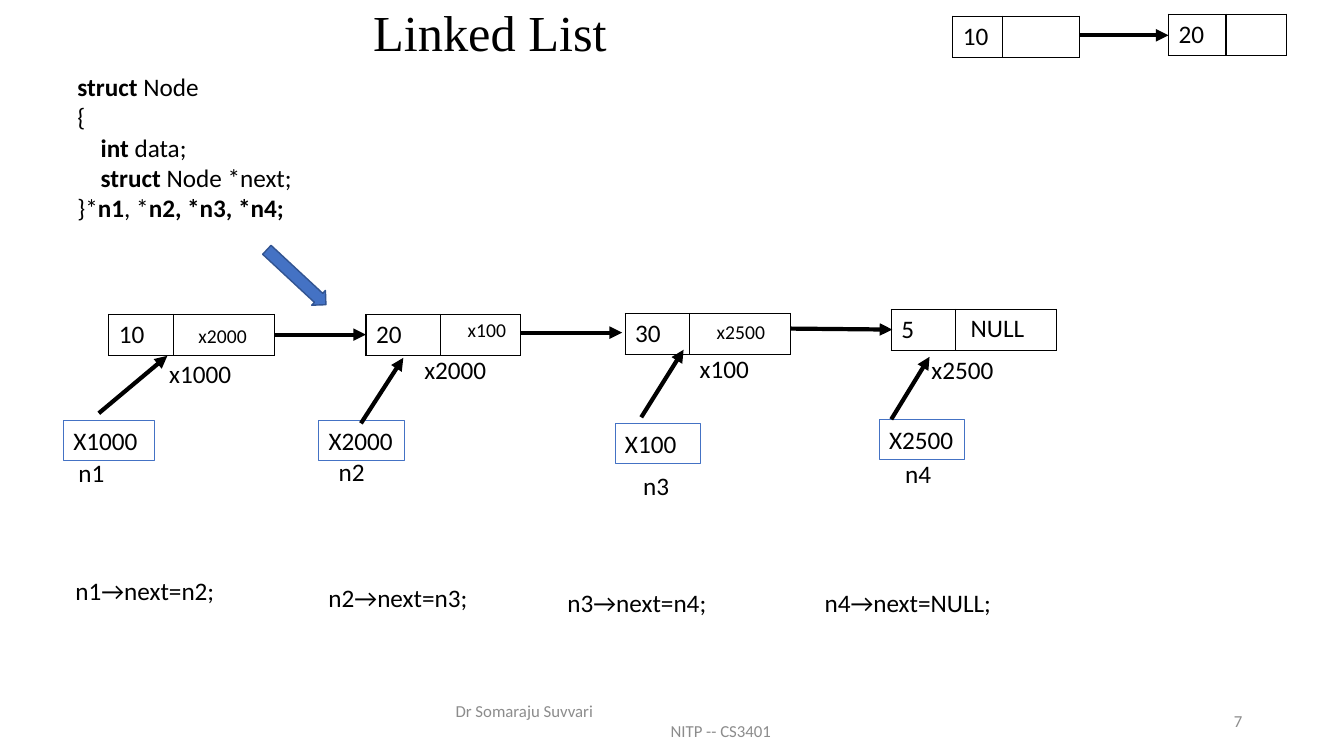
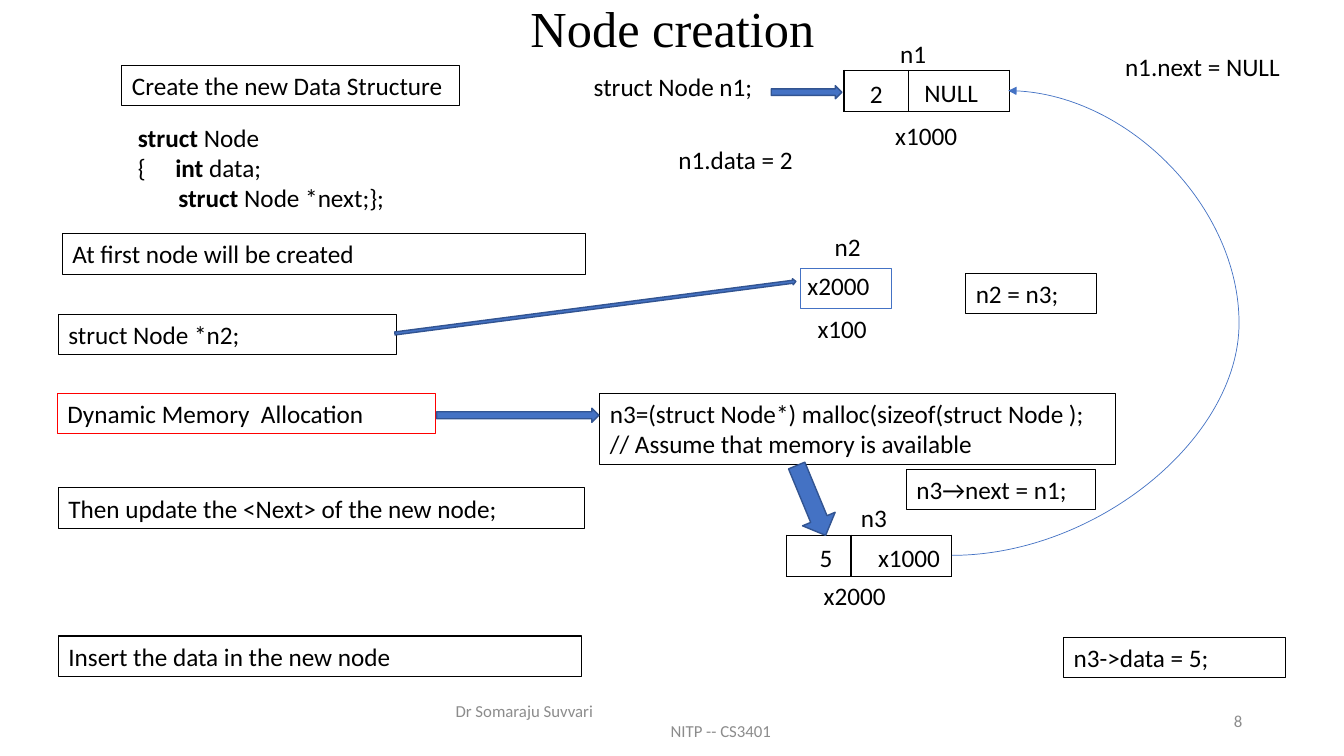
from dataclasses import dataclass
from lxml.etree import SubElement as Sub
from pptx import Presentation
from pptx.dml.color import RGBColor as Rgb
from pptx.enum.shapes import MSO_CONNECTOR as Link, MSO_SHAPE as Form
from pptx.enum.text import MSO_ANCHOR as Anchor, MSO_AUTO_SIZE as Fit, PP_ALIGN as Align
from pptx.oxml import parse_xml
from pptx.oxml.ns import nsdecls, qn
from pptx.util import Inches, Pt


@dataclass(frozen=True)
class Theme:
    """Colours, fonts and type sizes of the deck."""
    ink: str = "000000"
    blue: str = "4472C4"
    navy: str = "325491"
    red: str = "FF0000"
    grey: str = "8C8C8C"
    sans: str = "Calibri"
    serif: str = "Times New Roman"
    head: int = 36
    body: int = 18
    small: int = 14
    foot: int = 12


T = Theme()
COLS, ROWS = 13.33, 7.5
WIDE, HIGH = Inches(COLS), Inches(ROWS)
LINE = 0.4


def grid(x, y, w, h):
    """Turn grid columns and rows into slide lengths."""
    return [int(v * u) for v, u in zip((x, y, w, h), (WIDE / COLS, HIGH / ROWS) * 2)]


def put(obj, **vals):
    """Set attributes from a dict of format values."""
    for key, val in vals.items():
        setattr(obj, key, val)


def stroke(obj, color, width):
    """Give a shape a solid outline."""
    obj.line.color.rgb = Rgb.from_string(color)
    obj.line.width = Pt(width)


def write(par, text, size=T.body, color=T.ink, face=T.sans):
    """Fill a paragraph; parts between bars are bold."""
    for i, part in enumerate(text.split("|")):
        if part:
            run = par.add_run()
            run.text = part
            put(run.font, size=Pt(size), name=face, bold=bool(i % 2))
            run.font.color.rgb = Rgb.from_string(color)


def label(sl, box, text, edge=None, pads=None, anchor=Anchor.TOP, align=Align.LEFT, **font):
    """Place text, with an optional outline and indents per line."""
    shp = sl.shapes.add_textbox(*grid(*box))
    frame = shp.text_frame
    put(frame, word_wrap=True, vertical_anchor=anchor, auto_size=Fit.NONE)
    if edge:
        stroke(shp, edge, 0.75)
    for i, line in enumerate(text.split("\n")):
        par = frame.paragraphs[0] if i == 0 else frame.add_paragraph()
        par.alignment = align
        write(par, line, **font)
        left, first = (pads or {}).get(i, (0, 0))
        if left:
            prop = par._p.get_or_add_pPr()
            prop.set("marL", str(Inches(left)))
            prop.set("indent", str(Inches(first)))
    return shp


def cells(sl, x, y, cols, texts=("", ""), high=0.41):
    """Draw a node as a table of one row."""
    tab = sl.shapes.add_table(1, len(cols), *grid(x, y, sum(cols), high)).table
    put(tab, first_row=False, horz_banding=False)
    for i, (wide, text) in enumerate(zip(cols, texts)):
        tab.columns[i].width = Inches(wide)
        cell = tab.cell(0, i)
        cell.fill.background()
        write(cell.text_frame.paragraphs[0], text)
        prop = cell._tc.get_or_add_tcPr()
        for n, side in enumerate("LRTB"):
            prop.insert(n, parse_xml(
                f'<a:ln{side} {nsdecls("a")} w="12700"><a:solidFill>'
                f'<a:srgbClr val="{T.ink}"/></a:solidFill></a:ln{side}>'))


def arrow(sl, start, end, color=T.ink, width=3, bend=None):
    """Join two points with an arrow, curved when a bend is given."""
    kind = Link.STRAIGHT if bend is None else Link.CURVE
    con = sl.shapes.add_connector(kind, *grid(*start, *end))
    stroke(con, color, width)
    Sub(con.line._get_or_add_ln(), qn("a:tailEnd"), type="triangle")
    prop = con._element.spPr
    Sub(prop, qn("a:effectLst"))
    if bend is not None:
        gaps = prop.find(qn("a:prstGeom")).get_or_add_avLst()
        Sub(gaps, qn("a:gd"), name="adj1", fmla=f"val {int(bend * 100000)}")


def block(sl, box, turn=0, form=Form.RIGHT_ARROW, shaft=0.5):
    """Place a filled block arrow."""
    shp = sl.shapes.add_shape(form, *grid(*box))
    shp.rotation = turn
    shp.adjustments[0] = shaft
    shp.shadow.inherit = False
    shp.fill.solid()
    shp.fill.fore_color.rgb = Rgb.from_string(T.blue)
    stroke(shp, T.navy, 1)


def base(deck, title, box, num):
    """Add a slide with its title and footer."""
    sl = deck.slides.add_slide(deck.slide_layouts[5])
    head = sl.shapes.title
    put(head, **dict(zip(("left", "top", "width", "height"), grid(*box))))
    put(head.text_frame, vertical_anchor=Anchor.MIDDLE, auto_size=Fit.NONE, word_wrap=True)
    par = head.text_frame.paragraphs[0]
    put(par, alignment=Align.CENTER, line_spacing=0.9)
    write(par, title, T.head, face=T.serif)
    foot = dict(anchor=Anchor.MIDDLE, size=T.foot, color=T.grey)
    note = label(sl, (4.42, 6.95, 4.5, LINE), "Dr Somaraju Suvvari\nNITP -- CS3401",
                 pads={1: (0.96, 0)}, **foot)
    note.text_frame.paragraphs[1].alignment = Align.CENTER
    label(sl, (9.42, 6.95, 3, LINE), str(num), align=Align.RIGHT, **foot)
    return sl


def node(sl, x, y, cols, data, link, addr, var, name, tip):
    """Draw a node with its link, address and pointer variable."""
    cells(sl, x, y, cols, (data, ""))
    text, dx, dy, size = link
    label(sl, (x + dx, y + dy, 0.86 if size == T.body else 0.72, 0.34), text, size=size)
    text, dx, dy = addr
    label(sl, (x + dx, y + dy, 1.22, LINE), text)
    dx, dy, wide = var
    label(sl, (x + dx, y + dy, wide, LINE), text.upper(), edge=T.blue)
    text, dx, dy = name
    label(sl, (x + dx, y + dy, 0.61, LINE), text)
    ax, ay, bx, by = tip
    arrow(sl, (x + ax, y + ay), (x + bx, y + by))


def chain(sl):
    """Draw the four linked nodes."""
    std = (0.64, 1)
    for item in (
        (1.08, 3.12, std, "10", ("x2000", 0.79, 0.04, T.small), ("x1000", 0.5, 0.39),
         (-0.45, 1.05, 0.9), ("n1", -0.4, 1.37), (-0.1, 0.98, 0.58, 0.41)),
        (3.63, 3.12, (0.74, 0.79), "20", ("x100", 0.91, -0.01, T.small), ("x2000", 0.48, 0.35),
         (-0.47, 1.05, 0.85), ("n2", -0.37, 1.36), (-0.05, 1.08, 0.37, 0.43)),
        (6.2, 3.11, std, "30", ("x2500", 0.81, 0.01, T.small), ("x100", 0.64, 0.35),
         (-0.1, 1.09, 0.85), ("n3", 0.08, 1.51), (0.16, 1.03, 0.58, 0.36)),
        (8.84, 3.07, std, "5", ("NULL", 0.69, -0.02, T.body), ("x2500", 0.3, 0.4),
         (-0.12, 1.09, 0.85), ("n4", 0.04, 1.43), (0, 1.09, 0.38, 0.47)),
    ):
        node(sl, *item)
    for start, end in (((2.72, 3.32), (3.63, 3.32)), ((5.17, 3.3), (6.17, 3.3)),
                       ((7.84, 3.26), (8.85, 3.27))):
        arrow(sl, start, end)


def pair(sl, x, y):
    """Draw the small pair of nodes in the corner."""
    cells(sl, x, y + 0.02, (0.49, 0.77), ("10", ""))
    cells(sl, x + 2.14, y, (0.57, 0.6), ("20", ""))
    arrow(sl, (x + 1.26, y + 0.21), (x + 2.14, y + 0.21))


def listing(deck):
    """Build the linked list slide."""
    sl = base(deck, "Linked List", (0.5, 0.13, 8.72, 0.44), 7)
    label(sl, (0.67, 0.66, 5.53, 1.92),
          "|struct| Node\n{\n|int| data;\n|struct| Node *next;\n}*|n1|, *|n2, *n3, *n4;",
          pads={2: (0.23, 0), 3: (0.23, 0)})
    chain(sl)
    pair(sl, 9.45, 0.14)
    block(sl, (2.54, 2.65, 0.8, 0.2), 222.9, Form.LEFT_ARROW, 0.61)
    for i, (x, y, goal) in enumerate(((0.65, 5.66, "n2"), (3.16, 5.73, "n3"),
                                      (5.53, 5.78, "n4"), (8.08, 5.78, "NULL")), 1):
        label(sl, (x, y, 2, LINE), f"n{i}→next={goal};")


def steps(sl):
    """Place the outlined steps and statements."""
    for x, y, wide, text in (
        (1.21, 0.65, 3.35, "Create the new Data Structure"),
        (0.62, 2.32, 5.19, "At first node will be created"),
        (0.58, 3.12, 3.35, "struct Node *n2;"),
        (0.57, 3.9, 3.75, "Dynamic Memory  Allocation"),
        (0.58, 4.84, 5.22, "Then update the <Next> of the new node;"),
        (0.58, 6.31, 5.19, "Insert the data in the new node"),
        (9.58, 2.71, 1.3, "n2 = n3;"),
        (8.99, 4.66, 1.88, "n3→next = n1;"),
        (10.55, 6.32, 2.2, "n3->data = 5;"),
    ):
        label(sl, (x, y, wide, LINE), text, edge=T.red if "Dynamic" in text else T.ink)
    label(sl, (5.95, 3.9, 5.11, 0.71), "n3=(struct Node*) malloc(sizeof(struct Node );\n"
          "// Assume that memory is available", edge=T.ink)


def memory(sl):
    """Draw the nodes in memory with their names and addresses."""
    for x, y in ((8.37, 0.7), (7.8, 5.31)):
        cells(sl, x, y, (0.64, 1), high=LINE)
    label(sl, (7.94, 2.66, 0.9, LINE), "", edge=T.blue)
    for x, y, wide, text in (
        (8.83, 0.33, 0.61, "n1"), (8.53, 0.73, 0.41, "2"), (9.07, 0.72, 0.86, "NULL"),
        (8.78, 1.14, 1.22, "x1000"), (8.18, 2.25, 0.55, "n2"), (7.91, 2.63, 0.86, "x2000"),
        (8.01, 3.06, 0.72, "x100"), (8.44, 4.93, 0.55, "n3"), (8.03, 5.33, 0.32, "5"),
        (8.61, 5.33, 0.88, "x1000"), (8.07, 5.71, 1.22, "x2000"),
        (5.79, 0.66, 1.85, "struct Node n1;"), (6.63, 1.38, 1.38, "n1.data = 2"),
        (11.06, 0.46, 1.89, "n1.next = NULL"),
    ):
        label(sl, (x, y, wide, LINE), text)


def making(deck):
    """Build the node creation slide."""
    sl = base(deck, "Node creation", (0.92, 0.14, 11.5, 0.33), 8)
    label(sl, (1.27, 1.16, 2.66, 1.01), "|struct| Node\n{\t|int| data;\n|struct| Node *next;};",
          pads={1: (0.37, -0.37), 2: (0.4, 0)})
    steps(sl)
    memory(sl)
    arrow(sl, (9.44, 5.51), (10, 0.9), T.blue, 0.5, bend=5.09)
    for box, turn in (((4.33, 4.05, 1.61, 0.14), 0), ((3.9, 3.02, 4.01, 0.06), 352.6),
                      ((7.67, 4.79, 0.75, 0.35), 67.5), ((7.65, 0.85, 0.7, 0.13), 0)):
        block(sl, box, turn)


deck = Presentation()
put(deck, slide_width=WIDE, slide_height=HIGH)
listing(deck)
making(deck)
deck.save("out.pptx")
